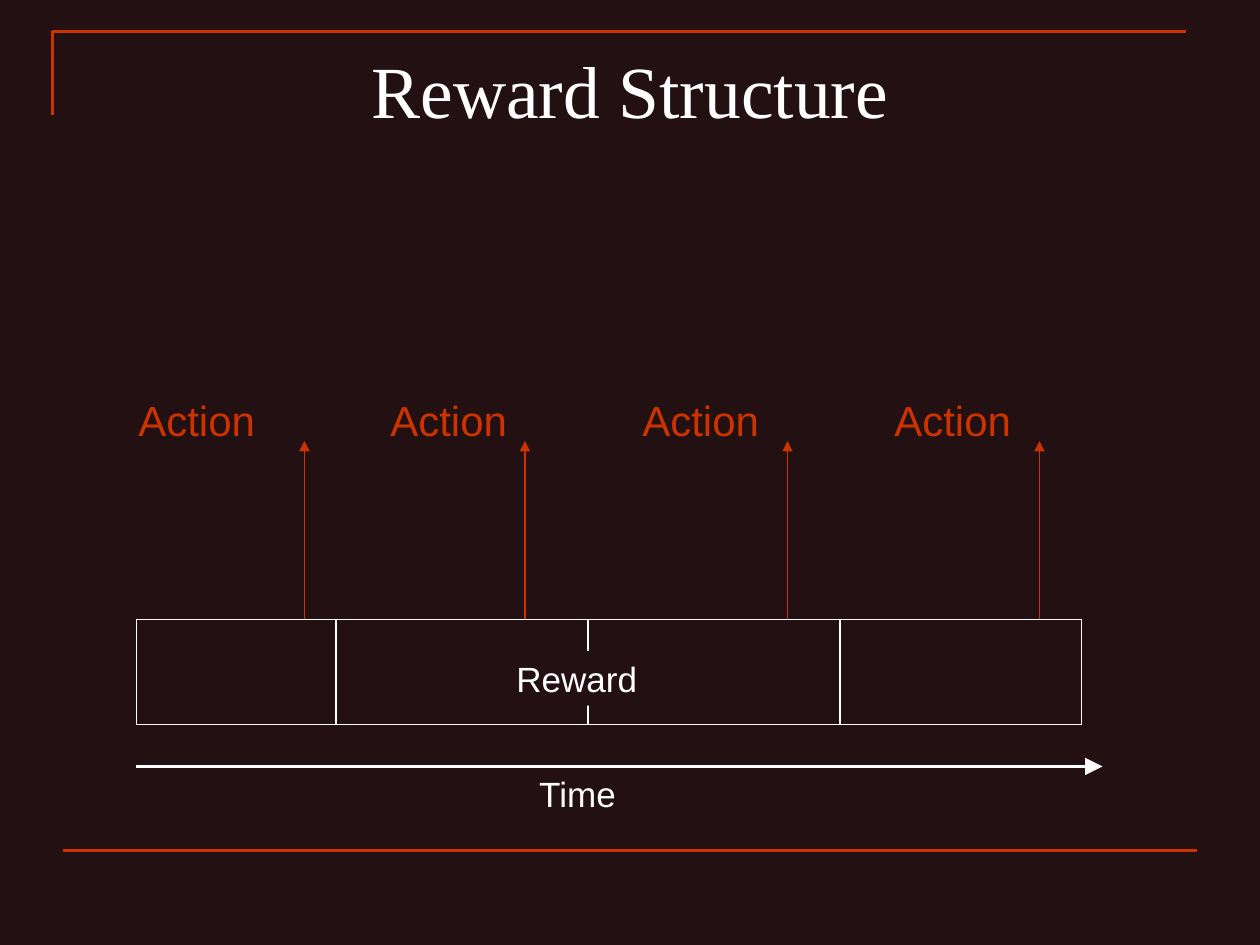
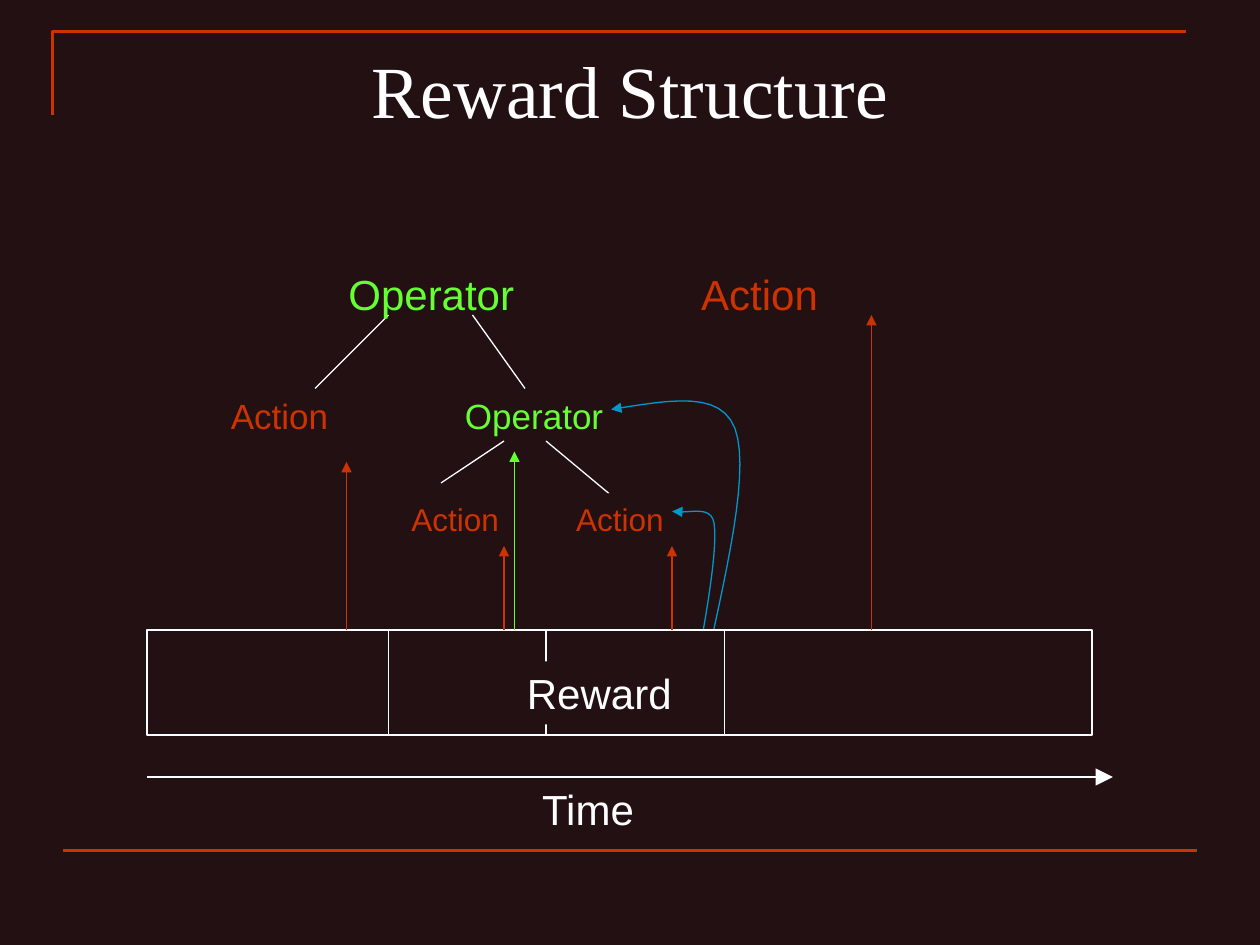
"""Builds two reward-structure slides on a grid of twelve units to the inch."""
from lxml.etree import SubElement as Sub
from pptx import Presentation
from pptx.dml.color import RGBColor
from pptx.enum.shapes import MSO_CONNECTOR as Link, MSO_SHAPE as Form
from pptx.enum.text import PP_ALIGN as Align
from pptx.oxml.ns import qn
from pptx.util import Inches, Pt

BACK, RED, WHITE, GREEN, BLUE = "221013", "CC3300", "FFFFFF", "66FF33", "0099CC"
SANS, SERIF = "Arial", "Times New Roman"
WIDE, HIGH = 120, 90
BAR = (90, 10)
TITLE = "Reward Structure"

SLIDES = [
    {
        "bar": (13, 59), "size": 20, "cuts": (32, 56, 80), "mask": 15,
        "rows": [(12, 37, 91, 24, None, (24, 48, 72),
                  [("Action", RED), ("\tAction", RED), ("\tAction", RED), ("\tAction", RED)])],
        "ties": [],
        "rises": [(29, 42, RED), (50, 42, RED), (75, 42, RED), (99, 42, RED)],
        "curves": [],
    },
    {
        "bar": (14, 60), "size": 24, "cuts": (37, 52, 69), "mask": 18,
        "rows": [
            (22, 25, 71, 24, None, (10, 43.6), [("\tOperator", GREEN), ("\tAction", RED)]),
            (20, 37, 39, 20, None, (0.8, 23.1), [("\tAction", RED), ("\tOperator", GREEN)]),
            (38, 47, 28, 18, BACK, (15.7,), [("Action", RED), ("\tAction", RED)]),
        ],
        "ties": [(37, 30, 30, 37), (45, 30, 50, 37), (48, 42, 42, 46), (52, 42, 58, 47)],
        "rises": [(33, 44, RED), (48, 52, RED), (64, 52, RED), (83, 30, RED), (49, 43, GREEN)],
        "curves": [
            [(67, 59.9), (67.7, 55.8), (68.3, 51.7), (68, 49.8),
             (67.7, 48), (65.5, 49), (64, 48.7)],
            [(68, 59.9), (69.7, 52.1), (71.3, 44.3), (70, 40.8),
             (68.6, 37.3), (64.3, 38), (58.2, 39)],
        ],
    },
]


def unit(n):
    return Inches(n / 12)


def units(*nums):
    return [unit(n) for n in nums]


def paint(part, code):
    part.solid()
    part.fore_color.rgb = RGBColor.from_string(code)


def stroke(shape, code, width, head=None):
    paint(shape.line.fill, code)
    shape.line.width = Pt(width)
    if head:
        Sub(shape.line._get_or_add_ln(), qn("a:tailEnd"), type="triangle", w=head, len=head)


def rule(slide, ends, code=WHITE, width=0.75, head=None):
    line = slide.shapes.add_connector(Link.STRAIGHT, *units(*ends))
    stroke(line, code, width, head)
    Sub(line._element.spPr, qn("a:effectLst"))


def trace(slide, points, code, width, head=None):
    first, *rest = [tuple(units(*spot)) for spot in points]
    pen = slide.shapes.build_freeform(*first)
    pen.add_line_segments(rest, close=False)
    shape = pen.convert_to_shape()
    shape.shadow.inherit = False
    shape.fill.background()
    stroke(shape, code, width, head)


def bend(nodes, steps=12):
    """Points along joined cubic curves."""
    points = [nodes[0]]
    for i in range(0, len(nodes) - 1, 3):
        for k in range(1, steps + 1):
            t = k / steps
            mix = ((1 - t) ** 3, 3 * t * (1 - t) ** 2, 3 * t * t * (1 - t), t ** 3)
            points.append(tuple(sum(m * p[d] for m, p in zip(mix, nodes[i:i + 4]))
                                for d in (0, 1)))
    return points


def label(slide, spot, runs, size, face=SANS, align=Align.LEFT, fill=None, stops=(), high=None):
    left, top, wide = spot
    box = slide.shapes.add_textbox(*units(left, top, wide, high or size * 0.2 + 1.2))
    if fill:
        paint(box.fill, fill)
    box.text_frame.word_wrap = True
    para = box.text_frame.paragraphs[0]
    para.alignment = align
    if stops:
        tabs = Sub(para._p.get_or_add_pPr(), qn("a:tabLst"))
        for stop in stops:
            Sub(tabs, qn("a:tab"), pos=str(unit(stop)), algn="l")
    para.font.size, para.font.name = Pt(size), face
    for text, code in runs:
        run = para.add_run()
        run.text = text
        paint(run.font.fill, code)


def frame(slide):
    trace(slide, [(5, 11), (5, 3), (113, 3)], RED, 1.5)
    rule(slide, (6, 81, 114, 81), RED, 1.5)
    label(slide, (6, 3.7, 108), [(TITLE, WHITE)], 42, SERIF, Align.CENTER, high=15)


def chart(slide, data):
    left, top = data["bar"]
    wide, high = BAR
    size = data["size"]
    for x in data["cuts"]:
        rule(slide, (x, top, x, top + high))
    rule(slide, (left, top + 14, left + 92, top + 14), width=1.5, head="lg")
    bar = slide.shapes.add_shape(Form.RECTANGLE, *units(left, top, wide, high))
    bar.shadow.inherit = False
    bar.fill.background()
    stroke(bar, WHITE, 0.75)
    label(slide, (left + 32, top + 14, 20), [("Time", WHITE)], size, align=Align.CENTER)
    label(slide, (left + 35, top + 3, data["mask"]), [("Reward", WHITE)], size, fill=BACK)
    for ends in data["ties"]:
        rule(slide, ends)
    for x, y, span, points, fill, stops, runs in data["rows"]:
        label(slide, (x, y, span), runs, points, fill=fill, stops=stops)
    for x, tip, code in data["rises"]:
        rule(slide, (x, top, x, tip), code, head="med")
    for nodes in data["curves"]:
        trace(slide, bend(nodes), BLUE, 0.75, "med")


def main():
    deck = Presentation()
    deck.slide_width, deck.slide_height = units(WIDE, HIGH)
    paint(deck.slide_master.background.fill, BACK)
    for data in SLIDES:
        slide = deck.slides.add_slide(deck.slide_layouts[6])
        frame(slide)
        chart(slide, data)
    deck.save("out.pptx")


if __name__ == "__main__":
    main()
